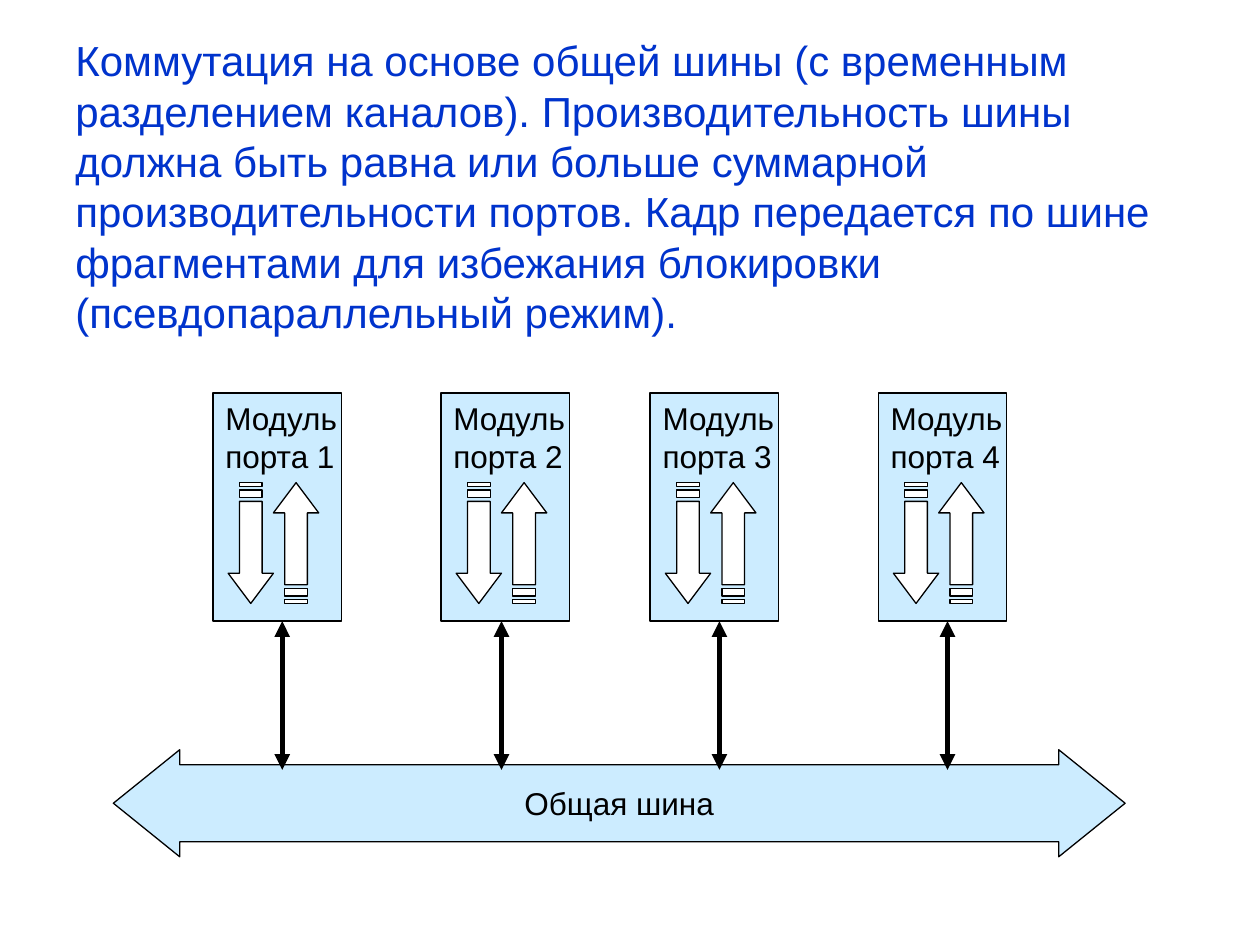
from lxml import etree
from pptx import Presentation
from pptx.dml.color import RGBColor
from pptx.enum import shapes, text
from pptx.oxml.ns import qn
from pptx.util import Inches, Pt

BLUE = RGBColor(0x00, 0x33, 0xCC)
PALE_BLUE = RGBColor(0xCC, 0xEC, 0xFF)
WHITE = RGBColor(0xFF, 0xFF, 0xFF)
BLACK = RGBColor(0x00, 0x00, 0x00)

# Striped arrow pointing right, in hundredths of an inch
ARROW_OUTLINES = [
    [(15, 9), (72, 9), (72, 0), (96, 18), (72, 36), (72, 27), (15, 27)],
    [(0, 9), (3, 9), (3, 27), (0, 27)],
    [(6, 9), (12, 9), (12, 27), (6, 27)],
]
MODULE_LEFTS = [1.69, 3.5, 5.16, 6.97]
LINK_XS = [2.24, 3.98, 5.71, 7.52]
MODULE_TOP, MODULE_HEIGHT = 3.12, 1.81


def paint(shape, color):
    shape.shadow.inherit = False
    shape.fill.solid()
    shape.fill.fore_color.rgb = color
    shape.line.color.rgb = BLACK
    shape.line.width = Pt(0.75)


def write(shape, content, size, color, align, anchor, wrap):
    frame = shape.text_frame
    frame.text = content
    frame.word_wrap = wrap
    frame.vertical_anchor = anchor
    for para in frame.paragraphs:
        para.alignment = align
        para.font.name = "Arial"
        para.font.size = Pt(size)
        para.font.color.rgb = color


deck = Presentation()
deck.slide_width, deck.slide_height = Inches(10), Inches(7.5)
page = deck.slides.add_slide(deck.slide_layouts[6])

title = page.shapes.add_textbox(Inches(0.5), Inches(0.3), Inches(9.23), Inches(2.35))
write(
    title,
    "Коммутация на основе общей шины (с временным разделением каналов). "
    "Производительность шины должна быть равна или больше суммарной "
    "производительности портов. Кадр передается по шине фрагментами "
    "для избежания блокировки (псевдопараллельный режим).",
    24, BLUE, text.PP_ALIGN.LEFT, text.MSO_ANCHOR.MIDDLE, True,
)

bus = page.shapes.add_shape(
    shapes.MSO_SHAPE.LEFT_RIGHT_ARROW, Inches(0.9), Inches(5.95), Inches(8.03), Inches(0.85)
)
bus.adjustments[0], bus.adjustments[1] = 0.72, 0.62
paint(bus, PALE_BLUE)
write(bus, "Общая шина", 18, BLACK, text.PP_ALIGN.CENTER, text.MSO_ANCHOR.MIDDLE, False)

for number, left in enumerate(MODULE_LEFTS, start=1):
    module = page.shapes.add_shape(
        shapes.MSO_SHAPE.RECTANGLE,
        Inches(left), Inches(MODULE_TOP), Inches(1.02), Inches(MODULE_HEIGHT),
    )
    paint(module, PALE_BLUE)

    for offset, rotation in [(-0.18, 90), (0.18, 270)]:
        builder = page.shapes.build_freeform(*ARROW_OUTLINES[0][0], scale=Inches(0.01))
        for outline in ARROW_OUTLINES:
            builder.move_to(*outline[0])
            builder.add_line_segments(outline[1:], close=True)
        arrow = builder.convert_to_shape(Inches(left + offset), Inches(4.13))
        arrow.rotation = rotation
        paint(arrow, WHITE)

    label = page.shapes.add_textbox(
        Inches(left), Inches(MODULE_TOP), Inches(1.09), Inches(0.7)
    )
    write(label, f"Модуль\nпорта {number}", 18, BLACK,
          text.PP_ALIGN.LEFT, text.MSO_ANCHOR.TOP, False)

for x in LINK_XS:
    link = page.shapes.add_connector(
        shapes.MSO_CONNECTOR.STRAIGHT,
        Inches(x), Inches(MODULE_TOP + MODULE_HEIGHT), Inches(x), Inches(6.11),
    )
    link.line.color.rgb = BLACK
    link.line.width = Pt(3)
    line = link.line._get_or_add_ln()
    for end in ("a:headEnd", "a:tailEnd"):
        etree.SubElement(line, qn(end), type="triangle")
    etree.SubElement(link._element.spPr, qn("a:effectLst"))

deck.save("out.pptx")
